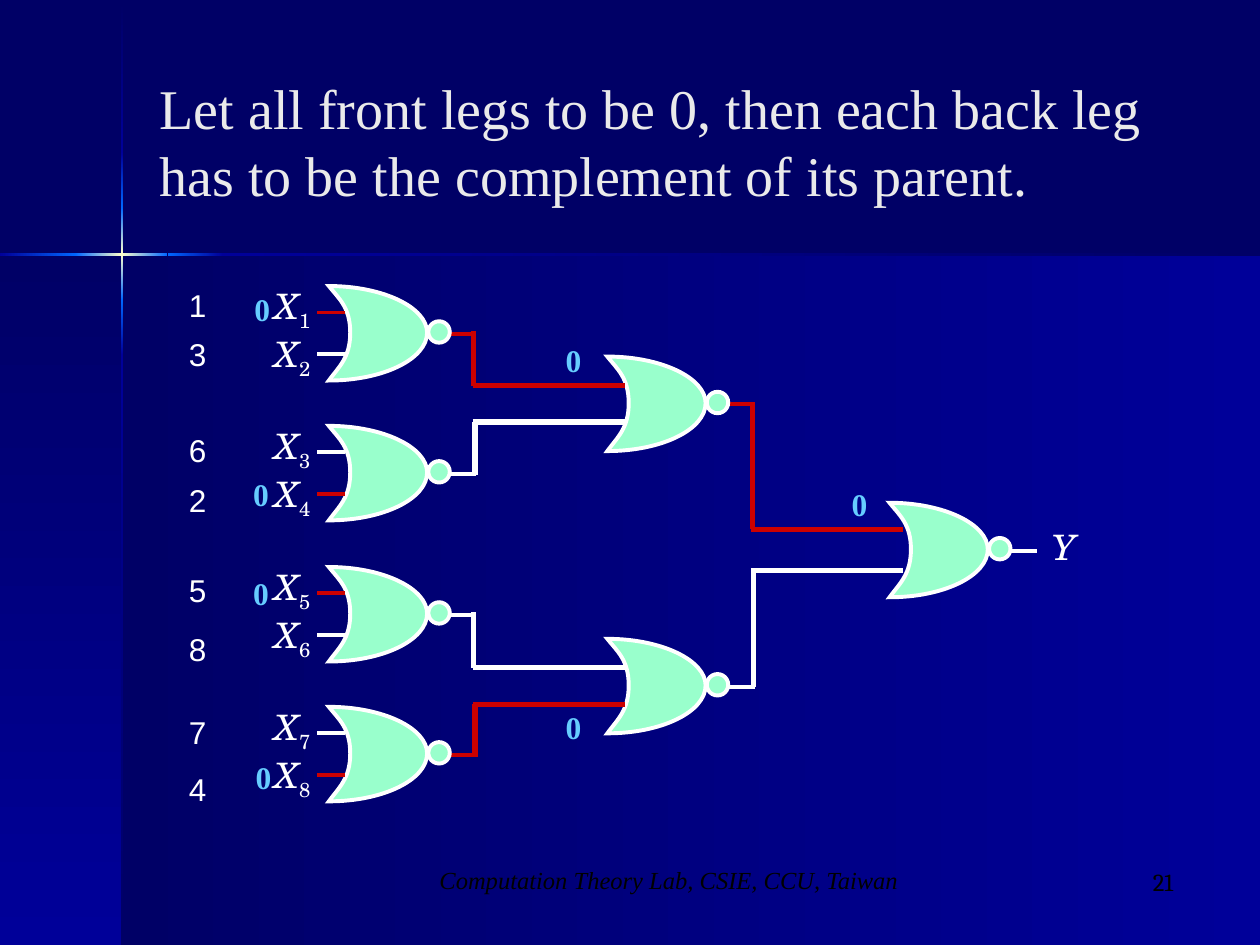
import copy

import pptx
import pptx.dml.color
import pptx.enum.shapes
import pptx.enum.text
import pptx.oxml
import pptx.oxml.ns
import pptx.util
import lxml.etree
from pptx.util import Inches

RGBColor = pptx.dml.color.RGBColor
NAVY = RGBColor(0x00, 0x00, 0x66)
ROYAL = RGBColor(0x00, 0x00, 0x99)
AZURE = RGBColor(0x00, 0x66, 0xFF)
CREAM = RGBColor(0xFF, 0xFF, 0xCC)
MINT = RGBColor(0x99, 0xFF, 0xCC)
SKY = RGBColor(0x66, 0xCC, 0xFF)
SILVER = RGBColor(0xEA, 0xEA, 0xEA)
WHITE = RGBColor(0xFF, 0xFF, 0xFF)
RED = RGBColor(0xCC, 0x00, 0x00)
BLACK = RGBColor(0x00, 0x00, 0x00)

SERIF = "Times New Roman"
MATH = "TeX Gyre Schola"
ALIGN = pptx.enum.text.PP_ALIGN
ANCHOR = pptx.enum.text.MSO_ANCHOR
SHAPE = pptx.enum.shapes.MSO_SHAPE
DOWNWARD, LEFTWARD = 270, 180
qn = pptx.oxml.ns.qn

GATE_CURVES = [
    ((0.08, 0.1), (0.17, 0.17), (0.17, 0.37)),
    ((0.17, 0.57), (0.08, 0.64), (0, 0.75)),
    ((0.43, 0.75), (0.78, 0.58), (0.78, 0.37)),
    ((0.78, 0.17), (0.43, 0), (0, 0)),
]


def add_gradient_bar(page, left, top, width, height, colors, angle):
    bar = page.shapes.add_shape(
        SHAPE.RECTANGLE, Inches(left), Inches(top), Inches(width), Inches(height))
    bar.shadow.inherit = False
    bar.line.fill.background()
    bar.fill.gradient()
    bar.fill.gradient_angle = angle
    stop_list = bar.element.spPr.find(".//" + qn("a:gsLst"))
    while len(stop_list) < len(colors):
        stop_list.append(copy.deepcopy(stop_list[-1]))
    for index, (stop, color) in enumerate(zip(bar.fill.gradient_stops, colors)):
        stop.position = index / (len(colors) - 1)
        stop.color.rgb = color


def add_backdrop(page):
    page.background.fill.solid()
    page.background.fill.fore_color.rgb = NAVY
    add_gradient_bar(page, 0.97, 2.02, 9.03, 5.48, [ROYAL, NAVY], LEFTWARD)
    add_gradient_bar(page, 0, 2.02, 0.97, 5.48, [NAVY, ROYAL], DOWNWARD)
    glow = [AZURE, CREAM, AZURE]
    for top, height, colors in [
        (0.01, 1.2, [NAVY, ROYAL]), (2.82, 4.68, [ROYAL, NAVY]),
        (2.38, 0.44, [AZURE, ROYAL]), (1.21, 0.44, [ROYAL, AZURE]),
        (1.65, 0.73, glow),
    ]:
        add_gradient_bar(page, 0.96, top, 0.02, height, colors, DOWNWARD)
    for left, width, colors in [
        (1.77, 8.23, [NAVY, ROYAL]), (0, 0.61, [AZURE, ROYAL]),
        (1.33, 0.44, [ROYAL, AZURE]), (0.6, 0.73, glow),
    ]:
        add_gradient_bar(page, left, 2.01, width, 0.02, colors, LEFTWARD)


def add_text_box(page, left, top, width, height, wrap=True, anchor=ANCHOR.TOP, fit=True):
    box = page.shapes.add_textbox(Inches(left), Inches(top), Inches(width), Inches(height))
    frame = box.text_frame
    frame.word_wrap = wrap
    frame.vertical_anchor = anchor
    if fit:
        frame.auto_size = pptx.enum.text.MSO_AUTO_SIZE.SHAPE_TO_FIT_TEXT
    return frame


def add_span(para, text, size, font, color, bold=False, italic=False, subscript=False):
    span = para.add_run()
    span.text = text
    span.font.size = pptx.util.Pt(size)
    span.font.name = font
    span.font.color.rgb = color
    span.font.bold = bold
    span.font.italic = italic
    if subscript:
        span.font._element.set("baseline", "-25000")


def add_line(page, start, end, color, weight):
    line = page.shapes.add_connector(
        pptx.enum.shapes.MSO_CONNECTOR.STRAIGHT, *map(Inches, start + end))
    line.line.color.rgb = color
    line.line.width = pptx.util.Pt(weight)
    lxml.etree.SubElement(line._element.spPr, qn("a:effectLst"))


def style_gate_part(shape):
    shape.shadow.inherit = False
    shape.fill.solid()
    shape.fill.fore_color.rgb = MINT
    shape.line.color.rgb = WHITE
    shape.line.width = pptx.util.Pt(2.25)
    miter = lxml.etree.SubElement(shape.element.spPr.find(qn("a:ln")), qn("a:miter"))
    miter.set("lim", "800000")


def add_gate_body(page, left, top):
    corners = [(Inches(left + x), Inches(top + y)) for *_, (x, y) in GATE_CURVES]
    builder = page.shapes.build_freeform(Inches(left), Inches(top), scale=1.0)
    builder.add_line_segments(corners, close=True)
    body = builder.convert_to_shape()
    segments = list(body.element.spPr.iter(qn("a:lnTo")))
    for segment, curve in zip(segments, GATE_CURVES):
        segment.tag = qn("a:cubicBezTo")
        segment.clear()
        for x, y in curve:
            point = lxml.etree.SubElement(segment, qn("a:pt"))
            point.set("x", str(int(Inches(x))))
            point.set("y", str(int(Inches(y))))
    style_gate_part(body)


def add_gate(page, left, top, output_color):
    add_gate_body(page, left, top)
    middle = top + 0.38
    add_line(page, (left + 0.78, middle), (left + 1.17, middle), output_color, 2.25)
    bubble = page.shapes.add_shape(
        SHAPE.OVAL, Inches(left + 0.79), Inches(top + 0.28), Inches(0.17), Inches(0.17))
    style_gate_part(bubble)


def add_inputs(page, top, first_index, colors):
    for offset, color in zip((0.21, 0.54), colors):
        add_line(page, (2.52, top + offset), (2.74, top + offset), color, 2.25)
    frame = add_text_box(page, 2.08, top - 0.06, 0.48, 0.86, False, ANCHOR.MIDDLE)
    frame.margin_left = frame.margin_right = 0
    for para, index in zip((frame.paragraphs[0], frame.add_paragraph()),
                           (first_index, first_index + 1)):
        para.alignment = ALIGN.CENTER
        add_span(para, "X", 20, MATH, WHITE, italic=True)
        add_span(para, str(index), 20, MATH, WHITE, subscript=True)


def add_wire(page, bend, source_y, target_y, color):
    start = 3.75 if bend < 5 else 5.96
    add_line(page, (bend, source_y), (bend, target_y), color, 3)
    add_line(page, (start, target_y), (start + 1.21, target_y), color, 3)


def add_circuit(page):
    for left, top, color in [
        (2.61, 2.27, RED), (2.61, 3.38, WHITE), (2.61, 4.5, WHITE), (2.61, 5.61, RED),
        (4.82, 2.83, RED), (4.82, 5.07, WHITE),
    ]:
        add_gate(page, left, top, color)
    for top, index, colors in [
        (2.27, 1, (RED, WHITE)), (3.38, 3, (WHITE, RED)),
        (4.5, 5, (RED, WHITE)), (5.61, 7, (WHITE, RED)),
    ]:
        add_inputs(page, top, index, colors)
    for bend, source_y, target_y, color in [
        (3.76, 2.63, 3.06, RED), (3.77, 3.77, 3.35, WHITE),
        (3.76, 4.86, 5.3, WHITE), (3.77, 6.01, 5.59, RED),
        (5.97, 3.22, 4.2, RED), (5.98, 5.45, 4.53, WHITE),
    ]:
        add_wire(page, bend, source_y, target_y, color)
    add_gate(page, 7.06, 3.99, WHITE)
    para = add_text_box(page, 8.25, 4.12, 0.39, 0.44, False, ANCHOR.MIDDLE).paragraphs[0]
    para.alignment = ALIGN.CENTER
    add_span(para, "Y", 20, MATH, WHITE, italic=True)


def add_numbers(page):
    for left, top in [(1.92, 2.25), (1.91, 3.72), (1.91, 4.51), (1.93, 5.97),
                      (4.39, 2.66), (4.39, 5.57), (6.66, 3.8)]:
        para = add_text_box(page, left, top, 0.35, 0.4).paragraphs[0]
        para.space_before = pptx.util.Pt(11.2)
        add_span(para, "0", 18, SERIF, SKY, bold=True)
    order_tops = [2.22, 3.77, 2.61, 6.06, 4.48, 3.37, 5.61, 4.95]
    for number, top in enumerate(order_tops, start=1):
        para = add_text_box(page, 1.4, top, 0.34, 0.4, wrap=False).paragraphs[0]
        add_span(para, str(number), 18, "Arial", WHITE)


def add_title_and_footer(page):
    title = add_text_box(page, 1.17, 0.33, 8.25, 1.57, anchor=ANCHOR.MIDDLE, fit=False)
    add_span(title.paragraphs[0],
             "Let all front legs to be 0, then each back leg has to be the "
             "complement of its parent.", 32, SERIF, SILVER)
    for text, left, top, width, alignment, font, italic in [
        ("Computation Theory Lab, CSIE, CCU, Taiwan", 3.13, 6.82, 4.36, ALIGN.CENTER, SERIF, True),
        ("21", 7.33, 6.83, 2.08, ALIGN.RIGHT, "Cambria", False),
    ]:
        para = add_text_box(page, left, top, width, 0.5, fit=False).paragraphs[0]
        para.alignment = alignment
        add_span(para, text, 14, font, BLACK, italic=italic)


def main():
    deck = pptx.Presentation()
    deck.slide_width, deck.slide_height = Inches(10), Inches(7.5)
    page = deck.slides.add_slide(deck.slide_layouts[6])
    add_backdrop(page)
    add_circuit(page)
    add_numbers(page)
    add_title_and_footer(page)
    deck.save("out.pptx")


if __name__ == "__main__":
    main()
